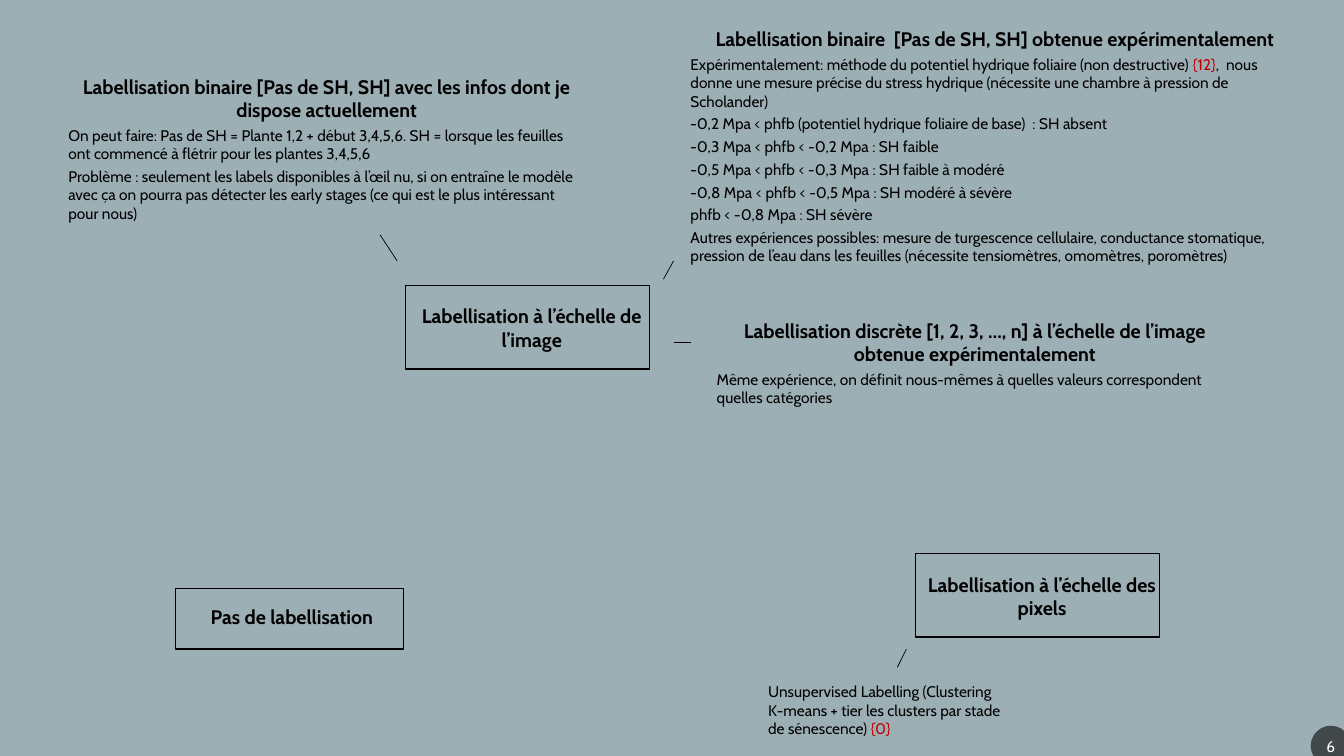
import pptx
import pptx.dml.color
import pptx.enum.shapes
import pptx.enum.text
import pptx.oxml.ns
import pptx.util
from lxml import etree

EMU_PER_PX = 9144  # 100 px to the inch
SLIDE_SIZE = (1333, 750)

BLACK = "000000"
WHITE = "FFFFFF"
BACKGROUND = "9BAFB5"
BADGE = "1D1D1D"
CITATION = "C00000"

CENTER = pptx.enum.text.PP_ALIGN.CENTER
LEFT = pptx.enum.text.PP_ALIGN.LEFT

# Left, top, width, height, title, body paragraphs; a paragraph is a list of runs.
NOTES = [
    (58, 69, 532, 158,
     "Labellisation binaire [Pas de SH, SH] avec les infos dont je dispose actuellement",
     [["On peut faire: Pas de SH = Plante 1,2 + début 3,4,5,6. SH = lorsque les feuilles "
       "ont commencé à flétrir pour les plantes 3,4,5,6"],
      ["Problème : seulement les labels disponibles à l’œil nu, si on entraîne le modèle "
       "avec ça on pourra pas détecter les early stages (ce qui est le plus intéressant "
       "pour nous)"]]),
    (675, 22, 624, 327,
     "Labellisation binaire  [Pas de SH, SH] obtenue expérimentalement",
     [["Expérimentalement: méthode du potentiel hydrique foliaire (non destructive) ",
       "{12}",
       ",  nous donne une mesure précise du stress hydrique (nécessite une chambre à "
       "pression de Scholander)"],
      ["-0,2 Mpa < phfb (potentiel hydrique foliaire de base)  : SH absent"],
      ["-0,3 Mpa < phfb < -0,2 Mpa : SH faible"],
      ["-0,5 Mpa < phfb < -0,3 Mpa : SH faible à modéré"],
      ["-0,8 Mpa < phfb < -0,5 Mpa : SH modéré à sévère"],
      ["phfb < -0,8 Mpa : SH sévère"],
      ["Autres expériences possibles: mesure de turgescence cellulaire, conductance "
       "stomatique, pression de l’eau dans les feuilles (nécessite tensiomètres, "
       "omomètres, poromètres)"]]),
    (701, 311, 532, 102,
     "Labellisation discrète [1, 2, 3, …, n] à l’échelle de l’image obtenue expérimentalement",
     [["Même expérience, on définit nous-mêmes à quelles valeurs correspondent "
       "quelles catégories"]]),
    (752, 672, 255, 66, None,
     [["Unsupervised Labelling (Clustering K-means + tier les clusters par stade "
       "de sénescence) ", "{0}"]]),
]

# Frame, then the place of the title over it.
TOPICS = [
    ((174, 584, 226, 60), (162, 595, 255, 34), "Pas de labellisation"),
    ((402, 283, 242, 83), (400, 297, 255, 57), "Labellisation à l’échelle de l’image"),
    ((908, 549, 242, 83), (906, 563, 255, 57), "Labellisation à l’échelle des pixels"),
]

LINKS = [
    (658, 277, 668, 259),
    (377, 233, 394, 259),
    (685, 340, 668, 340),
    (890, 662, 899, 644),
]


def px(*lengths):
    return [pptx.util.Emu(length * EMU_PER_PX) for length in lengths]


def color(hex_string):
    return pptx.dml.color.RGBColor.from_string(hex_string)


class SlideBuilder:
    """Holds the text style and the slide being filled."""

    font = "Cabin"
    title_size = 14
    body_size = 11
    space_after = 3

    def __init__(self, presentation):
        self.slide = presentation.slides.add_slide(presentation.slide_layouts[6])
        fill = self.slide.background.fill
        fill.solid()
        fill.fore_color.rgb = color(BACKGROUND)

    def style_run(self, run, size, bold=False, hex_string=BLACK):
        run.font.name = self.font
        run.font.size = pptx.util.Pt(size)
        run.font.bold = bold
        run.font.color.rgb = color(hex_string)

    def paragraph(self, paragraph, pieces, title=False):
        """Write the pieces as runs; a piece in braces is a citation."""
        paragraph.alignment = CENTER if title else LEFT
        paragraph.space_after = pptx.util.Pt(self.space_after)
        size = self.title_size if title else self.body_size
        for piece in pieces:
            run = paragraph.add_run()
            run.text = piece
            hex_string = CITATION if piece.startswith("{") else BLACK
            self.style_run(run, size, title, hex_string)

    def text(self, left, top, width, height, title, body=()):
        box = self.slide.shapes.add_textbox(*px(left, top, width, height))
        frame = box.text_frame
        frame.word_wrap = True
        entries = [([title], True)] if title else []
        entries += [(pieces, False) for pieces in body]
        for index, (pieces, is_title) in enumerate(entries):
            paragraph = frame.add_paragraph() if index else frame.paragraphs[0]
            self.paragraph(paragraph, pieces, is_title)

    def frame(self, left, top, width, height):
        shape = self.slide.shapes.add_shape(
            pptx.enum.shapes.MSO_SHAPE.RECTANGLE, *px(left, top, width, height))
        shape.shadow.inherit = False
        shape.fill.background()
        shape.line.color.rgb = color(BLACK)
        shape.line.width = pptx.util.Pt(1)

    def link(self, *ends):
        connector = self.slide.shapes.add_connector(
            pptx.enum.shapes.MSO_CONNECTOR.STRAIGHT, *px(*ends))
        connector.line.color.rgb = color(BLACK)
        connector.line.width = pptx.util.Pt(0.5)
        etree.SubElement(connector.element.spPr, pptx.oxml.ns.qn("a:effectLst"))

    def page_badge(self, left, top, diameter, number):
        shape = self.slide.shapes.add_shape(
            pptx.enum.shapes.MSO_SHAPE.OVAL, *px(left, top, diameter, diameter))
        shape.shadow.inherit = False
        shape.fill.solid()
        shape.fill.fore_color.rgb = color(BADGE)
        rgb = shape.element.spPr.find(".//" + pptx.oxml.ns.qn("a:srgbClr"))
        etree.SubElement(rgb, pptx.oxml.ns.qn("a:alpha"), val="70000")
        shape.line.fill.background()
        frame = shape.text_frame
        frame.margin_left, frame.margin_right = px(2, 2)
        frame.vertical_anchor = pptx.enum.text.MSO_ANCHOR.MIDDLE
        frame.text = number
        paragraph = frame.paragraphs[0]
        paragraph.alignment = CENTER
        self.style_run(paragraph.runs[0], self.body_size, hex_string=WHITE)


def main():
    presentation = pptx.Presentation()
    presentation.slide_width, presentation.slide_height = px(*SLIDE_SIZE)
    builder = SlideBuilder(presentation)
    builder.page_badge(1300, 720, 40, "6")
    for note in NOTES:
        builder.text(*note)
    for frame, title_place, title in TOPICS:
        builder.text(*title_place, title)
        builder.frame(*frame)
    for link in LINKS:
        builder.link(*link)
    presentation.save("out.pptx")


if __name__ == "__main__":
    main()
